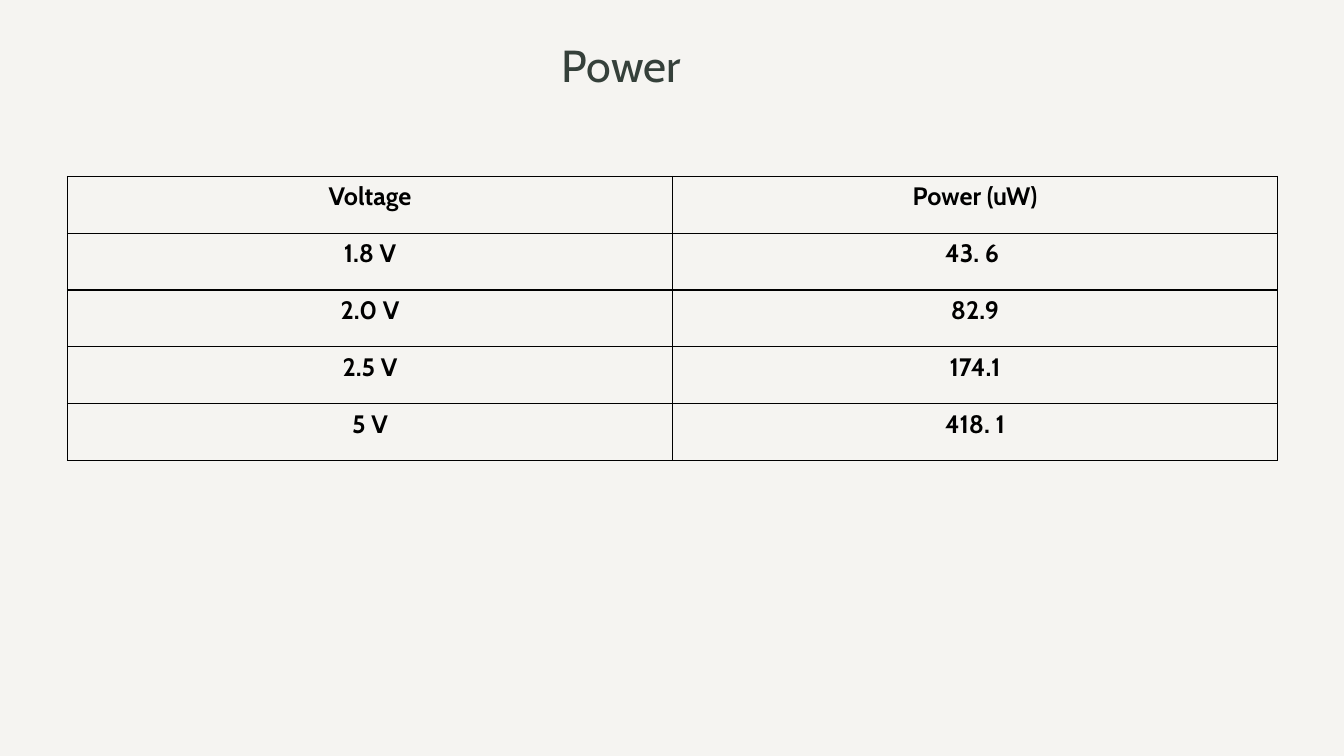
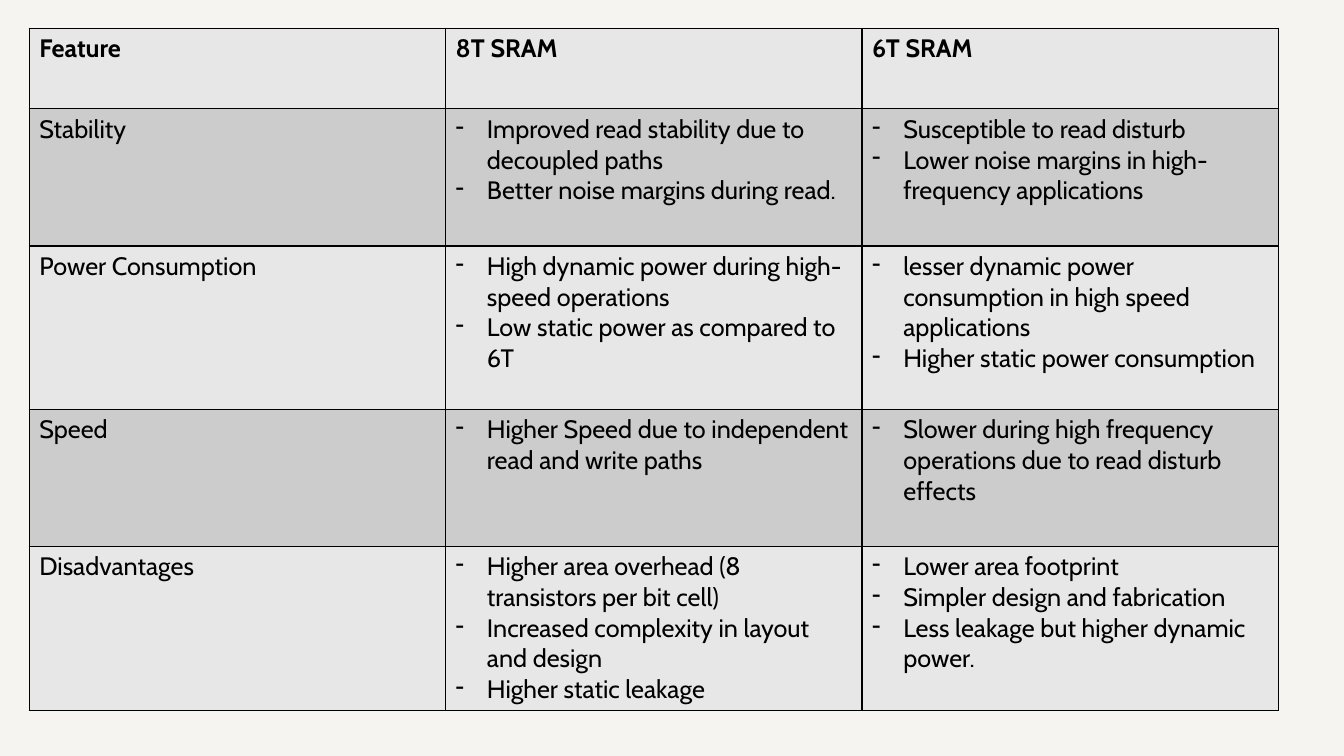
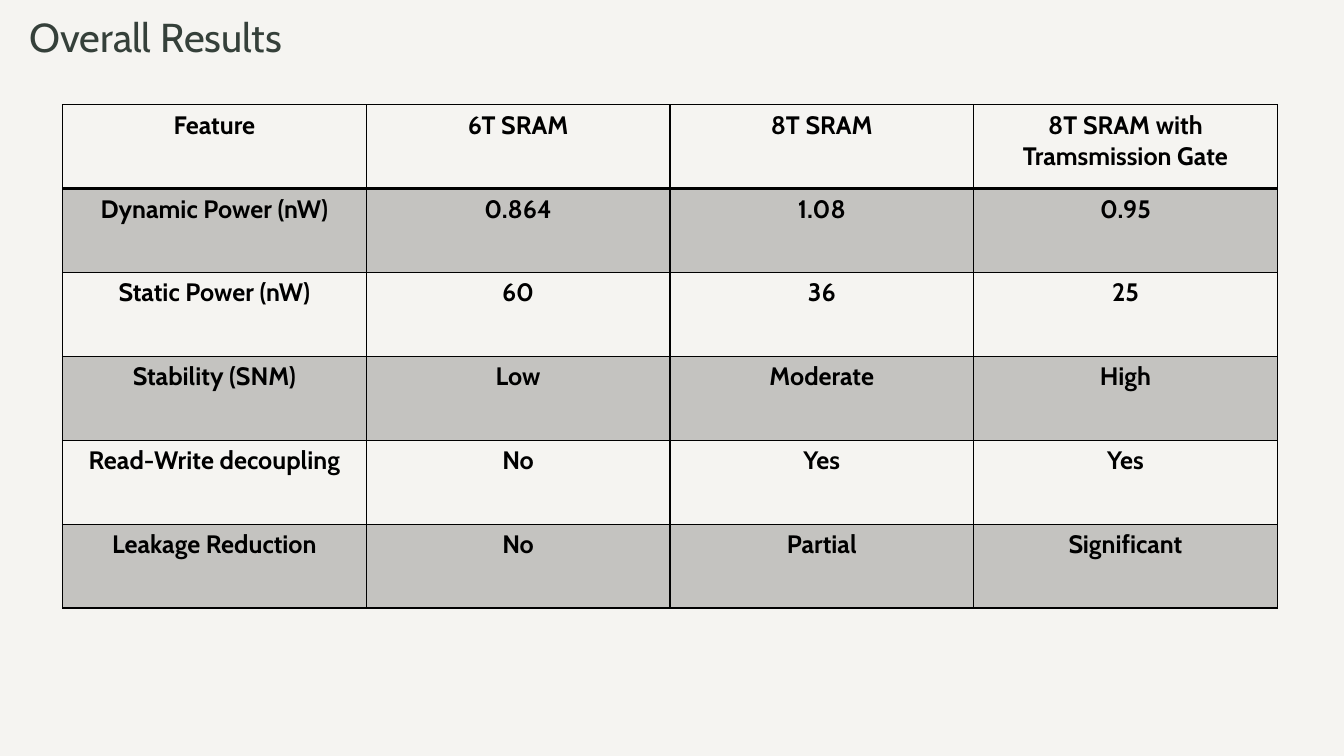
from lxml import etree
from pptx import Presentation
from pptx.dml.color import RGBColor
from pptx.enum.text import MSO_ANCHOR, MSO_AUTO_SIZE, PP_ALIGN
from pptx.oxml.ns import qn
from pptx.util import Inches, Pt

LEFT, CENTER = PP_ALIGN.LEFT, PP_ALIGN.CENTER
BOTTOM = MSO_ANCHOR.BOTTOM
FIXED = MSO_AUTO_SIZE.NONE

FONT = "Cabin"
PAPER = RGBColor(0xF5, 0xF4, 0xF1)
GREEN = RGBColor(0x35, 0x40, 0x3A)
BLACK = RGBColor(0, 0, 0)
LIGHT = RGBColor(0xE7, 0xE7, 0xE7)
GREY = RGBColor(0xCC, 0xCC, 0xCC)

CLEAR = (None, 100)
SHADE = (BLACK, 20)

SLIDES = [
    {
        "title": ("Power", 32, (5.47, 0.3, 2.22, 0.66)),
        "box": (0.67, 1.75, 12),
        "heights": [0.564] * 5,
        "bands": [CLEAR, CLEAR],
        "align": CENTER,
        "bold": True,
        "rule": 1,
        "rows": [
            ["Voltage", "Power (uW)"],
            ["1.8 V", "43. 6 "],
            ["2.0 V", "82.9"],
            ["2.5 V", "174.1"],
            ["5 V", "418. 1"],
        ],
    },
    {
        "title": None,
        "box": (0.29, 0.28, 12.39),
        "heights": [0.8, 1.36, 1.62, 1.36, 1.62],
        "bands": [(LIGHT, 100), (GREY, 100)],
        "align": LEFT,
        "bold": False,
        "rule": 1,
        "rows": [
            ["Feature", "8T SRAM", "6T SRAM"],
            ["Stability",
             ["Improved read stability due to decoupled paths",
              "Better noise margins during read."],
             ["Susceptible to read disturb",
              "Lower noise margins in high-frequency applications"]],
            ["Power Consumption",
             ["High dynamic power during high-speed operations",
              "Low static power as compared to 6T"],
             ["lesser dynamic power consumption in high speed applications",
              "Higher static power consumption"]],
            ["Speed",
             ["Higher Speed due to independent read and write paths"],
             ["Slower during high frequency operations due to read disturb effects"]],
            ["Disadvantages",
             ["Higher area overhead (8 transistors per bit cell)",
              "Increased complexity in layout and design",
              "Higher static leakage"],
             ["Lower area footprint",
              "Simpler design and fabrication",
              "Less leakage but higher dynamic power."]],
        ],
    },
    {
        "title": ("Overall Results", 28.8, (0.19, 0.14, 11.43, 0.51)),
        "box": (0.62, 1.04, 12.05),
        "heights": [0.832] * 6,
        "bands": [CLEAR, SHADE],
        "align": CENTER,
        "bold": True,
        "rule": 2,
        "rows": [
            ["Feature", "6T SRAM", "8T SRAM", "8T SRAM with Tramsmission Gate"],
            ["Dynamic Power (nW)", "0.864", "1.08", "0.95"],
            ["Static Power (nW)", "60", "36", "25"],
            ["Stability (SNM)", "Low", "Moderate", "High"],
            ["Read-Write decoupling", "No", "Yes", "Yes"],
            ["Leakage Reduction", "No", "Partial", "Significant"],
        ],
    },
]


def style(par, size, color, bold, align):
    par.alignment = align
    for run in par.runs:
        font = run.font
        font.name, font.size, font.bold = FONT, Pt(size), bold
        font.color.rgb = color


def add_title(slide, text, size, box):
    title = slide.shapes.title
    title.left, title.top, title.width, title.height = map(Inches, box)
    frame = title.text_frame
    frame.text = text
    frame.auto_size = FIXED
    frame.vertical_anchor = BOTTOM
    style(frame.paragraphs[0], size, GREEN, False, LEFT)


def add_dash(par):
    props = par._p.get_or_add_pPr()
    props.set("marL", str(Inches(0.31)))
    props.set("indent", str(-Inches(0.31)))
    etree.SubElement(props, qn("a:buChar"), char="-")


def add_edges(cell, top, bottom):
    props = cell._tc.get_or_add_tcPr()
    for side, width in (("L", 1), ("R", 1), ("T", top), ("B", bottom)):
        line = etree.SubElement(props, qn("a:ln" + side), w=str(Pt(width)))
        fill = etree.SubElement(line, qn("a:solidFill"))
        etree.SubElement(fill, qn("a:srgbClr"), val=str(BLACK))


def paint(cell, color, alpha):
    if color is None:
        cell.fill.background()
        return
    cell.fill.solid()
    cell.fill.fore_color.rgb = color
    if alpha < 100:
        tint = cell._tc.tcPr.find(qn("a:solidFill"))[0]
        etree.SubElement(tint, qn("a:alpha"), val=str(alpha * 1000))


def fill_cell(cell, item, bold, align):
    dashed = isinstance(item, list)
    frame = cell.text_frame
    frame.text = "\n".join(item) if dashed else item
    for par in frame.paragraphs:
        style(par, 18, BLACK, bold, align)
        if dashed:
            add_dash(par)


def add_grid(slide, data):
    rows, heights = data["rows"], data["heights"]
    left, top, width = data["box"]
    count = len(rows[0])
    table = slide.shapes.add_table(
        len(rows), count, Inches(left), Inches(top),
        Inches(width), Inches(sum(heights))).table
    table.first_row = table.horz_banding = False
    for col in table.columns:
        col.width = Inches(width / count)
    for r, items in enumerate(rows):
        table.rows[r].height = Inches(heights[r])
        above = data["rule"] if r == 1 else 1
        below = data["rule"] if r == 0 else 1
        for c, item in enumerate(items):
            cell = table.cell(r, c)
            fill_cell(cell, item, data["bold"] or r == 0, data["align"])
            add_edges(cell, above, below)
            paint(cell, *data["bands"][r % 2])


def main():
    prs = Presentation()
    prs.slide_width, prs.slide_height = Inches(13.33), Inches(7.5)
    back = prs.slide_master.background.fill
    back.solid()
    back.fore_color.rgb = PAPER
    for data in SLIDES:
        layout = prs.slide_layouts[5 if data["title"] else 6]
        slide = prs.slides.add_slide(layout)
        if data["title"]:
            add_title(slide, *data["title"])
        add_grid(slide, data)
    prs.save("out.pptx")


if __name__ == "__main__":
    main()
